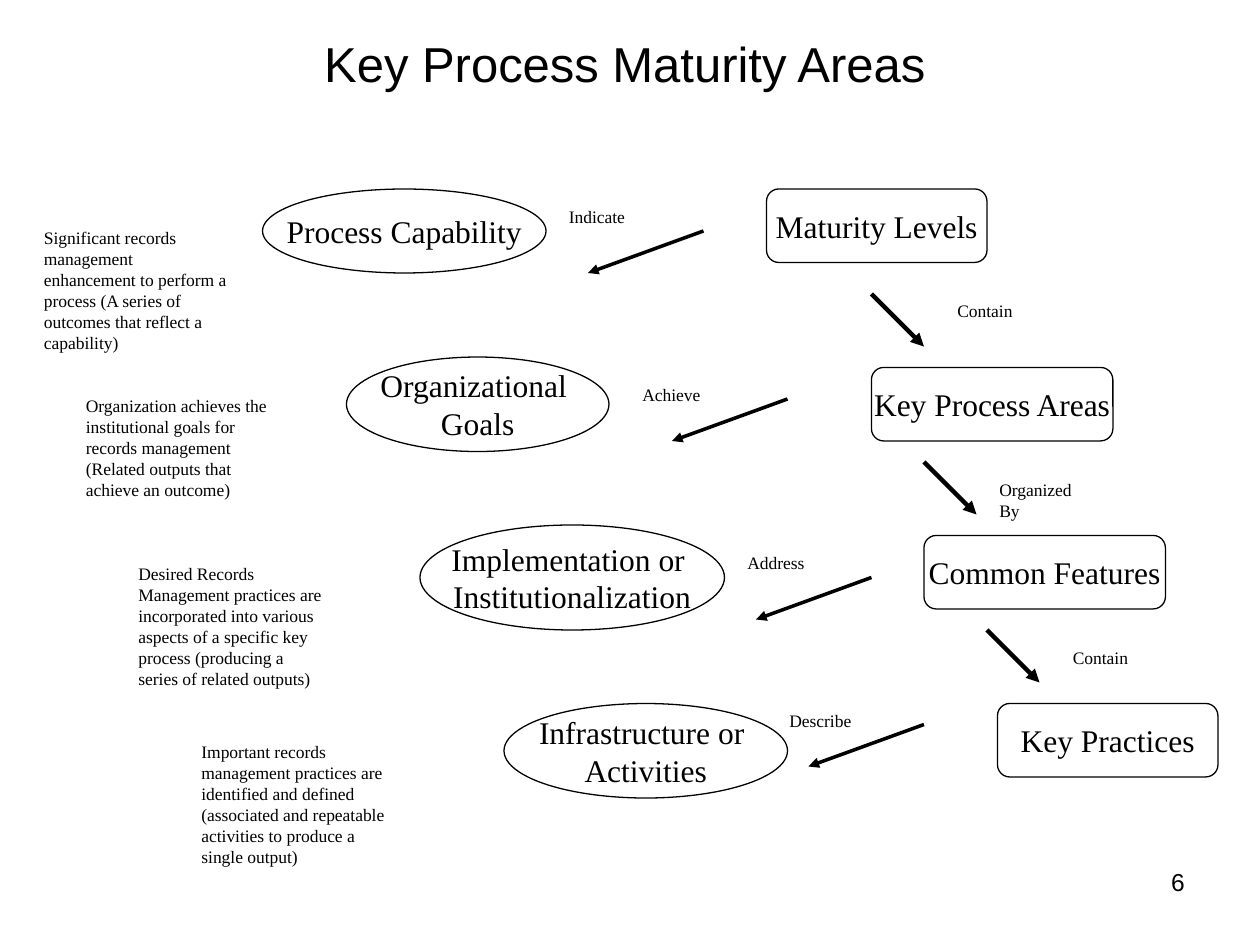
from collections import namedtuple

from lxml import etree
from pptx import Presentation
from pptx.dml.color import RGBColor
from pptx.enum import shapes, text
from pptx.oxml import ns
from pptx.util import Pt

BLACK = RGBColor(0, 0, 0)
WHITE = RGBColor(255, 255, 255)
TITLE_FORMAT = {"name": "Arial", "size": Pt(28), "bold": False}
NUMBER_FORMAT = {"name": "Arial", "size": Pt(14)}
NODE_FORMAT = {"name": "Times New Roman", "size": Pt(18)}
LABEL_FORMAT = {"name": "Times New Roman", "size": Pt(10)}

Level = namedtuple("Level", "oval goal note_x note verb_at verb arrow_at box_at box_width box")
Step = namedtuple("Step", "arrow_at label_x label_height label")

LEVELS = [
    Level((150, 108, 162, 48), "Process Capability", -132,
          "Significant records management enhancement to perform a process "
          "(A series of outcomes that reflect a capability)",
          (168, 6), "Indicate", (252, 24), (288, 0), 126, "Maturity Levels"),
    Level((198, 204, 150, 54), "Organizational \nGoals", -156,
          "Organization achieves the institutional goals for records management "
          "(Related outputs that achieve an outcome)",
          (162, 12), "Achieve", (252, 24), (300, 6), 138, "Key Process Areas"),
    Level((240, 300, 174, 60), "Implementation or \nInstitutionalization", -168,
          "Desired Records Management practices are incorporated into various aspects "
          "of a specific key process (producing a series of related outputs)",
          (180, 12), "Address", (258, 30), (288, 6), 138, "Common Features"),
    Level((288, 402, 162, 54), "Infrastructure or \nActivities", -180,
          "Important records management practices are identified and defined "
          "(associated and repeatable activities to produce a single output)",
          (156, 0), "Describe", (240, 12), (282, 0), 126, "Key Practices"),
]
STEPS = [
    Step((498, 168), 42, 19.5, "Contain"),
    Step((528, 264), 36, 31.5, "Organized By"),
    Step((564, 360), 42, 19.5, "Contain"),
]


def write(frame, words, font_format, align):
    """Fill a text frame with formatted paragraphs."""
    frame.text = words
    for paragraph in frame.paragraphs:
        paragraph.alignment = align
        for name, value in font_format.items():
            setattr(paragraph.font, name, value)
        paragraph.font.color.rgb = BLACK


def add_text(slide, box, words, font_format, align=text.PP_ALIGN.LEFT):
    """Place a wrapped text box."""
    text_box = slide.shapes.add_textbox(*map(Pt, box))
    text_box.text_frame.word_wrap = True
    write(text_box.text_frame, words, font_format, align)


def add_node(slide, kind, box, words):
    """Place an outlined shape with centred text."""
    shape = slide.shapes.add_shape(kind, *map(Pt, box))
    shape.shadow.inherit = False
    shape.fill.solid()
    shape.fill.fore_color.rgb = WHITE
    shape.line.color.rgb = BLACK
    shape.line.width = Pt(0.75)
    frame = shape.text_frame
    frame.word_wrap = False
    frame.vertical_anchor = text.MSO_ANCHOR.MIDDLE
    write(frame, words, NODE_FORMAT, text.PP_ALIGN.CENTER)


def add_arrow(slide, start, run, weight):
    """Draw an arrow from a start point along a run."""
    x, y = start
    arrow = slide.shapes.add_connector(
        shapes.MSO_CONNECTOR.STRAIGHT, Pt(x), Pt(y), Pt(x + run[0]), Pt(y + run[1]))
    arrow.line.color.rgb = BLACK
    arrow.line.width = Pt(weight)
    etree.SubElement(arrow.line._get_or_add_ln(), ns.qn("a:tailEnd"), type="triangle")
    etree.SubElement(arrow._element.spPr, ns.qn("a:effectLst"))


def add_level(slide, level):
    """Lay out one maturity level around its oval."""
    left, top = level.oval[:2]

    def place(offset):
        """Shift an offset to the oval's corner."""
        return left + offset[0], top + offset[1]

    add_node(slide, shapes.MSO_SHAPE.OVAL, level.oval, level.goal)
    add_node(slide, shapes.MSO_SHAPE.ROUNDED_RECTANGLE,
             (*place(level.box_at), level.box_width, 42), level.box)
    add_arrow(slide, place(level.arrow_at), (-66, 24), 2)
    add_text(slide, (*place(level.verb_at), 66, 19.5), level.verb, LABEL_FORMAT)
    add_text(slide, (*place((level.note_x, 18)), 120, 79), level.note, LABEL_FORMAT)


def add_step(slide, step):
    """Draw the arrow and label that lead down to the next level."""
    x, y = step.arrow_at
    add_arrow(slide, step.arrow_at, (30, 30), 2.5)
    label_y = y if y == 168 else y + 6
    add_text(slide, (x + step.label_x, label_y, 66, step.label_height),
             step.label, LABEL_FORMAT)


def add_title(slide, box, words):
    """Move and format the title placeholder."""
    title = slide.shapes.title
    title.left, title.top, title.width, title.height = map(Pt, box)
    frame = title.text_frame
    frame.auto_size = text.MSO_AUTO_SIZE.NONE
    frame.vertical_anchor = text.MSO_ANCHOR.MIDDLE
    write(frame, words, TITLE_FORMAT, text.PP_ALIGN.CENTER)


def main():
    """Build and save the slide."""
    presentation = Presentation()
    presentation.slide_width, presentation.slide_height = Pt(720), Pt(540)
    slide = presentation.slides.add_slide(presentation.slide_layouts[5])
    add_title(slide, (54, 18, 606, 36), "Key Process Maturity Areas")
    for level in LEVELS:
        add_level(slide, level)
    for step in STEPS:
        add_step(slide, step)
    add_text(slide, (516, 492, 168, 37.5), "6", NUMBER_FORMAT, text.PP_ALIGN.RIGHT)
    presentation.save("out.pptx")


if __name__ == "__main__":
    main()
